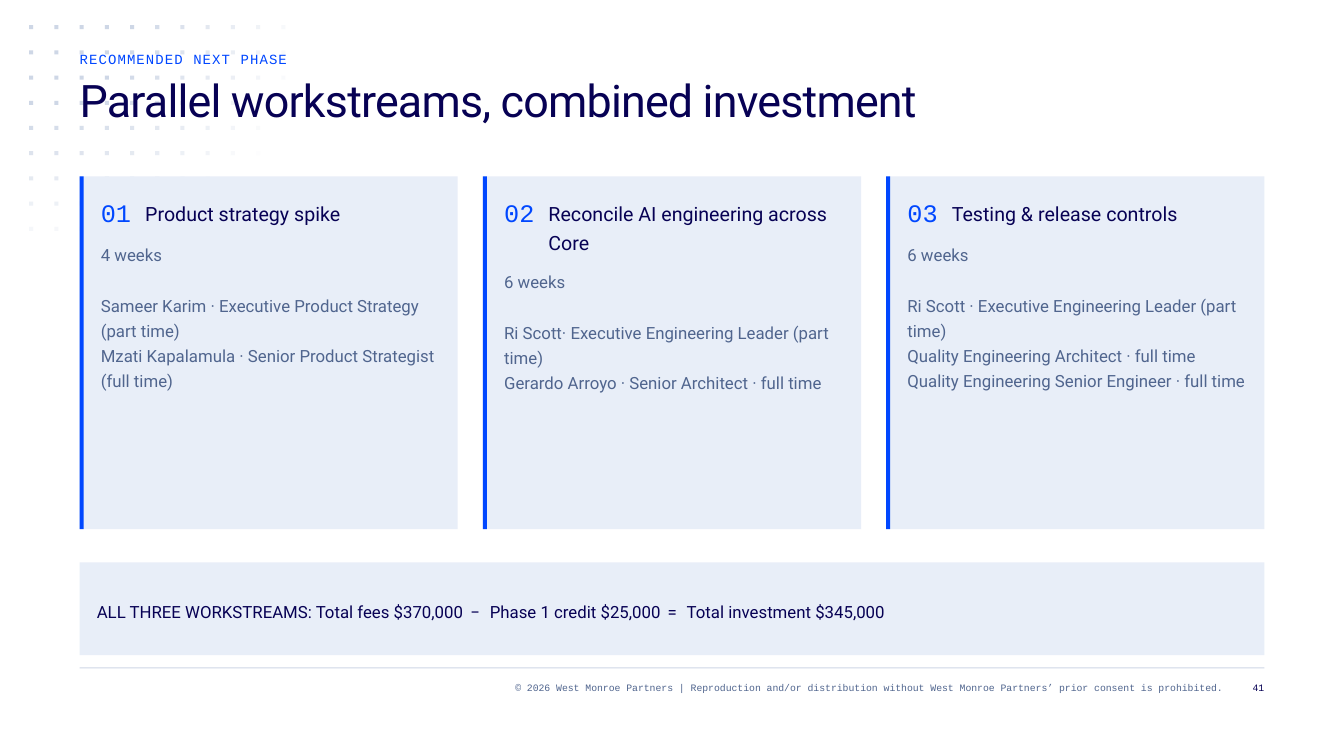
from math import hypot

from pptx import Presentation
from pptx.dml.color import RGBColor
from pptx.enum.shapes import MSO_SHAPE
from pptx.enum.text import MSO_ANCHOR, MSO_AUTO_SIZE, PP_ALIGN
from pptx.oxml.ns import qn
from pptx.util import Inches, Pt

NAVY = RGBColor(0x07, 0x01, 0x54)
BLUE = RGBColor(0x00, 0x47, 0xFF)
SLATE = RGBColor(0x50, 0x65, 0x8E)
PALE = RGBColor(0xE8, 0xEE, 0xF8)
MIST = RGBColor(0xCE, 0xD7, 0xE6)

MONO, SANS = "Courier New", "Roboto"
LEFT, WIDTH = 0.79, 11.75
TOP, STEP = 1.75, 4

FRAME = {
    "margin_left": 0, "margin_right": 0, "margin_top": 0, "margin_bottom": 0,
    "word_wrap": True, "auto_size": MSO_AUTO_SIZE.NONE,
    "vertical_anchor": MSO_ANCHOR.TOP,
}

# style: font values, colour, line pitch in points, letter spacing in hundredths
STYLES = {
    "title": ({"name": SANS, "size": Pt(32)}, NAVY, 36, -60),
    "label": ({"name": MONO, "size": Pt(10)}, BLUE, 12, 80),
    "number": ({"name": MONO, "size": Pt(18)}, BLUE, 24, 0),
    "head": ({"name": SANS, "size": Pt(14)}, NAVY, 21, 0),
    "body": ({"name": SANS, "size": Pt(12)}, SLATE, 18, 0),
    "total": ({"name": SANS, "size": Pt(12)}, NAVY, 18, 0),
    "foot": ({"name": MONO, "size": Pt(7)}, SLATE, 9, 0),
    "page": ({"name": MONO, "size": Pt(7)}, NAVY, 9, 0),
}

CARDS = [
    ("01", "Product strategy spike", 1, 1.5, [
        "4 weeks",
        "Sameer Karim · Executive Product Strategy (part time)",
        "Mzati Kapalamula · Senior Product Strategist (full time)"]),
    ("02", "Reconcile AI engineering across Core", 2, 1.25, [
        "6 weeks",
        "Ri Scott· Executive Engineering Leader (part time)",
        "Gerardo Arroyo · Senior Architect · full time"]),
    ("03", "Testing & release controls", 1, 1.75, [
        "6 weeks",
        "Ri Scott · Executive Engineering Leader (part time)",
        "Quality Engineering Architect · full time",
        "Quality Engineering Senior Engineer · full time"]),
]

TOTALS = [
    ("ALL THREE WORKSTREAMS: Total fees $370,000", 0), (" − ", 200),
    ("Phase 1 credit $25,000", 0), (" = ", 200),
    ("Total investment $345,000", 0),
]

NOTICE = ("© 2026 West Monroe Partners | Reproduction and/or distribution without "
          "West Monroe Partners’ prior consent is prohibited.")


def apply(target, values):
    """Set each named value on the target."""
    for name, value in values.items():
        setattr(target, name, value)


def add_rect(shapes, box, color, alpha=100):
    """Add a plain filled rectangle."""
    rect = shapes.add_shape(MSO_SHAPE.RECTANGLE, *map(Inches, box))
    rect.shadow.inherit = False
    rect.line.fill.background()
    rect.fill.solid()
    rect.fill.fore_color.rgb = color
    if alpha < 100:
        tint = rect.fill._xPr.find(qn("a:solidFill"))[0]
        tint.makeelement(qn("a:alpha"), {})
        node = tint.makeelement(qn("a:alpha"), {"val": str(alpha * 1000)})
        tint.append(node)


def add_run(para, text, style, extra=0):
    """Add a run in a named style."""
    values, color, _, track = STYLES[style]
    run = para.add_run()
    run.text = text
    apply(run.font, values)
    run.font.color.rgb = color
    if track or extra:
        run._r.get_or_add_rPr().set("spc", str(track + extra))


def fill_text(frame, paras, style, align=PP_ALIGN.LEFT, gap=0):
    """Write paragraphs of text and spacing pairs, with a gap after the first."""
    apply(frame, FRAME)
    for index, runs in enumerate(paras):
        para = frame.add_paragraph() if index else frame.paragraphs[0]
        apply(para, {
            "alignment": align, "line_spacing": Pt(STYLES[style][2]),
            "space_before": Pt(gap if index == 1 else 0), "space_after": Pt(0),
        })
        for text, extra in runs:
            add_run(para, text, style, extra)


def add_text(shapes, box, lines, style, **look):
    """Add a text box with one paragraph for each line."""
    frame = shapes.add_textbox(*map(Inches, box)).text_frame
    fill_text(frame, [[(line, 0)] for line in lines], style, **look)


def add_dots(shapes):
    """Draw the corner grid of dots, which fades with distance."""
    for col in range(11):
        for row in range(9 if col < 3 else 7):
            alpha = min(100, round(153 - hypot(13.8 * col, 16.8 * row)))
            if alpha > 0:
                box = (0.29 + col / 4, 0.25 + row / 4, 0.04, 0.04)
                add_rect(shapes, box, MIST, alpha)


def add_title(slide, text):
    """Place the title in its placeholder, in front of the dots."""
    title = slide.shapes.title
    box = dict(zip(("left", "top", "width", "height"),
                   map(Inches, (LEFT, 0.75, 10.25, 1))))
    apply(title, box)
    fill_text(title.text_frame, [[(text, 0)]], "title")
    title._element.getparent().append(title._element)


def add_card(slide, left, number, head, rows, height, lines):
    """Add one grouped workstream card."""
    shapes = slide.shapes.add_group_shape().shapes
    add_rect(shapes, (left, TOP, 3.75, 3.5), PALE)
    add_rect(shapes, (left, TOP, 0.04, 3.5), BLUE)
    add_text(shapes, (left + 0.21, 1.92, 0.31, 0.33), [number], "number")
    add_text(shapes, (left + 0.65, 1.94, 2.94, 0.29 * rows), [head], "head")
    top = 2.38 + 0.27 * (rows - 1)
    add_text(shapes, (left + 0.21, top, 3.38, height), lines, "body", gap=18)


def add_total(slide):
    """Add the grouped band with the sum of all fees."""
    shapes = slide.shapes.add_group_shape().shapes
    add_rect(shapes, (LEFT, 5.58, WIDTH, 0.92), PALE)
    box = shapes.add_textbox(*map(Inches, (0.96, 5.92, 11.42, 0.25)))
    fill_text(box.text_frame, [TOTALS], "total")


def main():
    """Build and save the slide."""
    deck = Presentation()
    apply(deck, {"slide_width": Inches(13.33), "slide_height": Inches(7.5)})
    slide = deck.slides.add_slide(deck.slide_layouts[5])
    shapes = slide.shapes
    add_rect(shapes, (LEFT, 6.62, WIDTH, 0.01), MIST)
    add_dots(shapes)
    right = PP_ALIGN.RIGHT
    add_text(shapes, (2.38, 6.75, 9.75, 0.25), [NOTICE], "foot", align=right)
    add_text(shapes, (12.21, 6.75, 0.33, 0.25), ["41"], "page", align=right)
    for index, card in enumerate(CARDS):
        add_card(slide, LEFT + STEP * index, *card)
    add_total(slide)
    add_title(slide, "Parallel workstreams, combined investment")
    add_text(shapes, (LEFT, 0.5, 10.25, 0.25), ["RECOMMENDED NEXT PHASE"], "label")
    deck.save("out.pptx")


if __name__ == "__main__":
    main()
